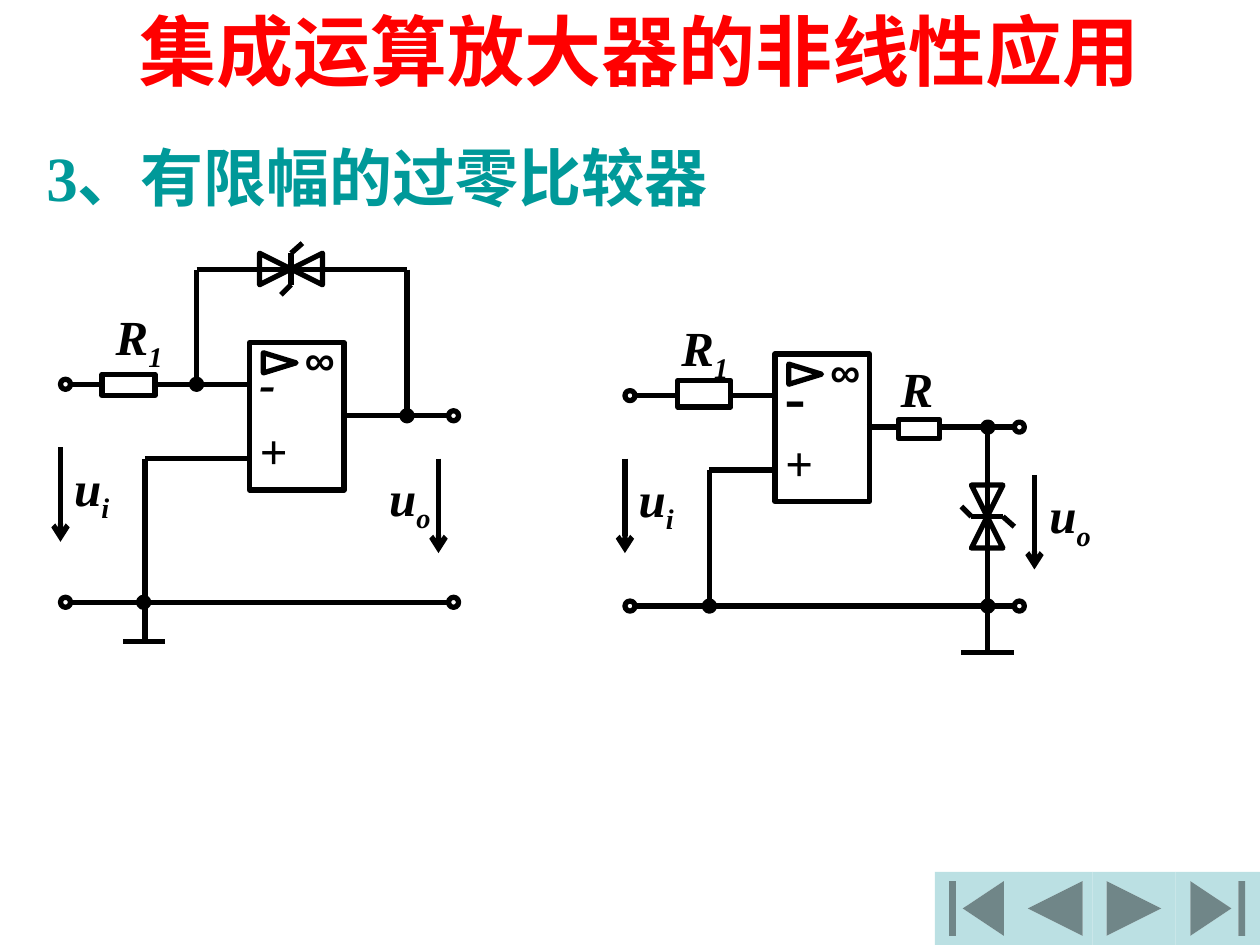
from pptx import Presentation
from pptx.dml.color import RGBColor
from pptx.enum.shapes import MSO_CONNECTOR, MSO_SHAPE
from pptx.enum.text import MSO_ANCHOR, PP_ALIGN
from pptx.oxml.ns import qn
from pptx.util import Inches, Pt
from lxml.etree import SubElement

BLACK = RGBColor(0, 0, 0)
WHITE = RGBColor(255, 255, 255)
RED = RGBColor(255, 0, 0)
TEAL = RGBColor(0, 153, 153)
PALE_BLUE = RGBColor(0xBB, 0xE0, 0xE3)
SERIF, SANS = "Times New Roman", "Arial"
NODE_SIZE = 0.08

TITLE = "集成运算放大器的非线性应用"
SUBTITLE = "3、有限幅的过零比较器"

AMPLIFIERS = [(1.98, 2.72), (6.15, 2.81)]
MINUS_SIGNS = [(1.96, 2.75, 0.33, 0.57, 28, True), (6.13, 2.78, 0.36, 0.7, 36, False)]

WIRES = [
    (0.56, 3.05, 1.98, 3.05), (1.15, 3.64, 1.98, 3.64), (1.15, 3.64, 1.15, 5.09),
    (0.56, 4.78, 3.56, 4.78), (2.73, 3.3, 3.56, 3.3), (1.56, 2.14, 1.56, 3.05),
    (1.56, 2.14, 3.23, 2.14), (3.23, 2.14, 3.23, 3.3), (0.98, 5.09, 1.31, 5.09),
    (2.4, 1.93, 2.31, 2.01), (2.31, 2.01, 2.31, 2.26), (2.31, 2.26, 2.23, 2.34),
    (5.63, 3.73, 5.63, 4.81), (5.05, 4.81, 8.05, 4.81), (7.84, 3.43, 7.84, 5.18),
    (8.05, 4.18, 7.96, 4.1), (7.96, 4.1, 7.71, 4.1), (7.71, 4.1, 7.63, 4.02),
    (7.63, 5.18, 8.05, 5.18), (5.63, 3.73, 6.13, 3.73), (5.05, 3.14, 6.13, 3.14),
    (6.88, 3.39, 8.05, 3.39),
]
VOLTAGE_ARROWS = [(0.48, 3.55), (3.48, 3.64), (4.96, 3.64), (8.21, 3.77)]
ARROW_LENGTH = 0.75

DIODES = [(2.06, 2.01, 90), (2.31, 2.01, 270), (7.71, 3.85, 180), (7.71, 4.1, 0)]
RESISTORS = [(0.81, 2.97, 0.42, 0.17), (5.38, 3.02, 0.42, 0.21), (7.13, 3.33, 0.33, 0.15)]
TERMINALS = [
    (0.52, 3.05), (0.52, 4.78), (3.6, 3.3), (3.6, 4.78),
    (5.0, 3.14), (5.0, 4.81), (8.09, 3.39), (8.09, 4.81),
]
JUNCTIONS = [
    (1.56, 3.05), (3.23, 3.3), (1.14, 4.78),
    (5.63, 4.81), (7.84, 3.39), (7.84, 4.81),
]
LABELS = [
    ("u", "i", 0.49, 3.58, 0.48, 0.63), ("u", "o", 2.99, 3.66, 0.53, 0.63),
    ("R", "1", 0.82, 2.38, 0.57, 0.63), ("u", "i", 4.97, 3.67, 0.48, 0.63),
    ("u", "o", 8.23, 3.8, 0.53, 0.63), ("R", "1", 5.31, 2.47, 0.57, 0.63),
    ("R", "", 7.05, 2.8, 0.46, 0.57),
]
BUTTONS = [
    (MSO_SHAPE.ACTION_BUTTON_BEGINNING, 7.42, 8.08),
    (MSO_SHAPE.ACTION_BUTTON_BACK_OR_PREVIOUS, 8.08, 8.67),
    (MSO_SHAPE.ACTION_BUTTON_FORWARD_OR_NEXT, 8.67, 9.33),
    (MSO_SHAPE.ACTION_BUTTON_END, 9.33, 10),
]


def add_outline(page, kind, left, top, width, height, fill=None, rotation=0, line=BLACK):
    shape = page.shapes.add_shape(kind, Inches(left), Inches(top), Inches(width), Inches(height))
    shape.shadow.inherit = False
    shape.rotation = rotation
    if fill is None:
        shape.fill.background()
    else:
        shape.fill.solid()
        shape.fill.fore_color.rgb = fill
    if line is None:
        shape.line.fill.background()
    else:
        shape.line.color.rgb = line
        shape.line.width = Pt(3)


def add_wire(page, x1, y1, x2, y2, arrow=False):
    wire = page.shapes.add_connector(
        MSO_CONNECTOR.STRAIGHT, Inches(x1), Inches(y1), Inches(x2), Inches(y2))
    wire.line.color.rgb = BLACK
    wire.line.width = Pt(3)
    if arrow:
        SubElement(wire.line._get_or_add_ln(), qn("a:tailEnd"), type="arrow")
    SubElement(wire._element.spPr, qn("a:effectLst"))


def add_text(page, text, left, top, width, height, size=28, font=SERIF,
             color=BLACK, italic=True, subscript="", wrap=False):
    box = page.shapes.add_textbox(Inches(left), Inches(top), Inches(width), Inches(height))
    box.text_frame.word_wrap = wrap
    para = box.text_frame.paragraphs[0]
    para.font.size = Pt(size)
    para.font.name = font
    para.font.bold = True
    para.font.italic = italic
    para.font.color.rgb = color
    para.add_run().text = text
    if subscript:
        span = para.add_run()
        span.text = subscript
        span._r.get_or_add_rPr().set("baseline", "-25000")
    return box


def add_node(page, x, y, fill=None):
    half = NODE_SIZE / 2
    add_outline(page, MSO_SHAPE.OVAL, x - half, y - half, NODE_SIZE, NODE_SIZE, fill)


def add_amplifier(page, left, top):
    add_outline(page, MSO_SHAPE.RECTANGLE, left, top, 0.75, 1.17)
    add_outline(page, MSO_SHAPE.ISOSCELES_TRIANGLE, left + 0.16, top + 0.03, 0.16, 0.26, rotation=90)
    add_text(page, "∞", left + 0.34, top - 0.12, 0.45, 0.5, 24, SANS)
    add_text(page, "+", left - 0.02, top + 0.57, 0.42, 0.57)


def main():
    deck = Presentation()
    deck.slide_width, deck.slide_height = Inches(10), Inches(7.5)
    page = deck.slides.add_slide(deck.slide_layouts[6])

    for kind, left, right in BUTTONS:
        add_outline(page, kind, left, 6.92, right - left, 0.58, PALE_BLUE, line=None)

    title = add_text(page, TITLE, 0.83, 0.06, 8.5, 0.67, 44, SANS, RED, False, wrap=True)
    title.text_frame.vertical_anchor = MSO_ANCHOR.MIDDLE
    title.text_frame.paragraphs[0].alignment = PP_ALIGN.CENTER
    add_text(page, SUBTITLE, 0.27, 1.05, 5.57, 0.7, 36, color=TEAL, italic=False)

    for left, top in AMPLIFIERS:
        add_amplifier(page, left, top)
    for left, top, width, height, size, italic in MINUS_SIGNS:
        add_text(page, "-", left, top, width, height, size, italic=italic)
    for wire in WIRES:
        add_wire(page, *wire)
    for x, y in VOLTAGE_ARROWS:
        add_wire(page, x, y, x, y + ARROW_LENGTH, arrow=True)
    for left, top, rotation in DIODES:
        add_outline(page, MSO_SHAPE.ISOSCELES_TRIANGLE, left, top, 0.25, 0.25, rotation=rotation)
    for resistor in RESISTORS:
        add_outline(page, MSO_SHAPE.RECTANGLE, *resistor, fill=WHITE)
    for x, y in TERMINALS:
        add_node(page, x, y)
    for x, y in JUNCTIONS:
        add_node(page, x, y, BLACK)
    for text, subscript, *place in LABELS:
        add_text(page, text, *place, subscript=subscript)

    deck.save("out.pptx")


if __name__ == "__main__":
    main()
